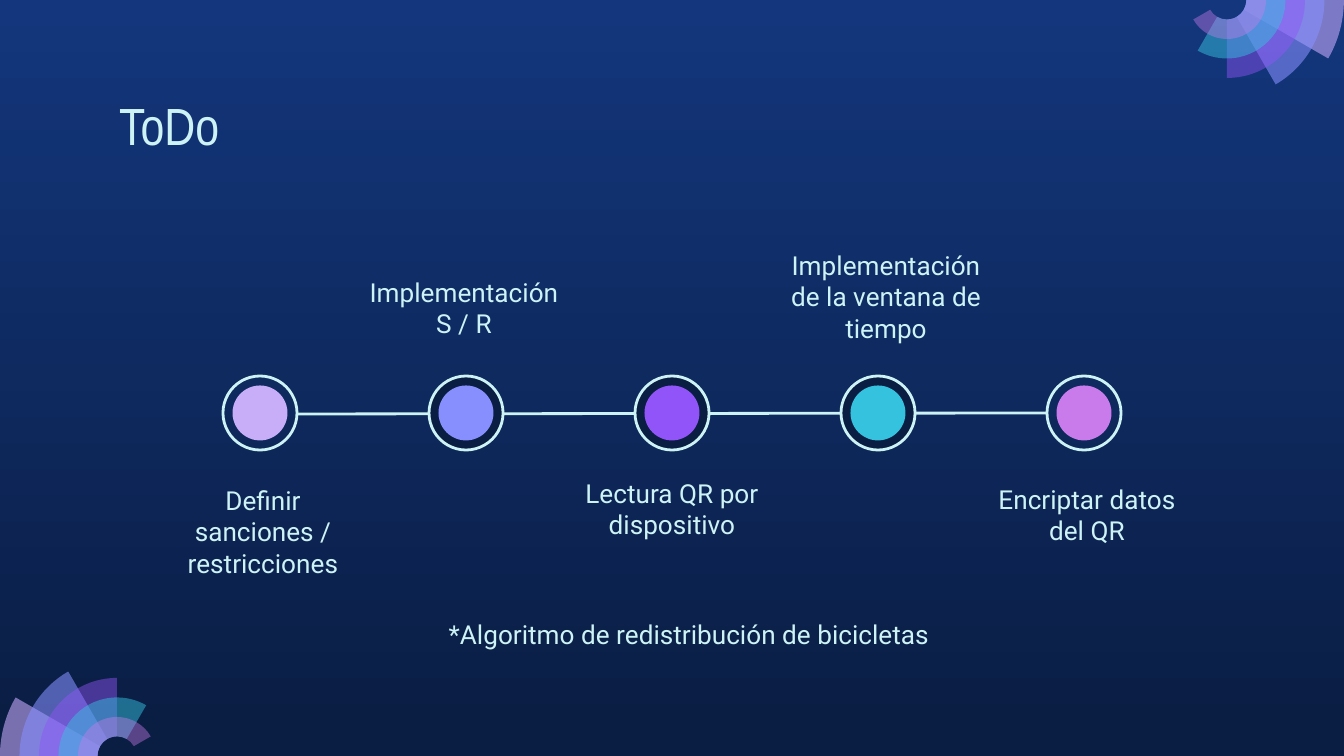
from math import cos, radians, sin, tan

from lxml import etree
from pptx import Presentation
from pptx import util as u
from pptx.dml.color import RGBColor
from pptx.enum import shapes, text
from pptx.oxml.ns import qn

PX = 914400 / 134.4  # EMU in one px


class Theme:
    sky, night, ice = "13367C", "0A1D42", "CEF3F5"
    lilac, indigo, violet, cyan, pink = "C8ACFD", "878FFF", "9154F8", "35C2DF", "CA7BEB"
    first_dot = "C8AEF8"
    title = {"name": "Arial Narrow", "size": u.Pt(28)}
    body = {"name": "Roboto", "size": u.Pt(14)}
    stroke = u.Pt(1.5)


def emu(*lengths):
    return [u.Emu(round(length * PX)) for length in lengths]


def add_text(words, bounds, font, align):
    box = page.shapes.add_textbox(*emu(*bounds))
    frame = box.text_frame
    margins = {f"margin_{side}": u.Inches(0.1) for side in ("left", "top", "right", "bottom")}
    layout = {"word_wrap": True, "vertical_anchor": text.MSO_ANCHOR.TOP, **margins}
    for name, value in layout.items():
        setattr(frame, name, value)
    para = frame.paragraphs[0]
    para.alignment = align
    span = para.add_run()
    span.text = words
    for name, value in font.items():
        setattr(span.font, name, value)
    span.font.color.rgb = RGBColor.from_string(Theme.ice)


deck = Presentation()
deck.slide_width, deck.slide_height = emu(1344, 756)
page = deck.slides.add_slide(deck.slide_layouts[6])

# Background: light at the top, dark at the bottom
backdrop = page.background.fill
backdrop.gradient()
backdrop.gradient_angle = 270
for stop, color in zip(backdrop.gradient_stops, (Theme.sky, Theme.night)):
    stop.color.rgb = RGBColor.from_string(color)

# Corner fans: each wedge is one ring smaller and 30 degrees wider than the last
RING = 19.5
WEDGES = [(Theme.lilac, 58), (Theme.indigo, 58), (Theme.violet, 46),
          (Theme.cyan, 49), (Theme.pink, 42)]
for center_x, center_y, start in ((117, 756, 180), (1227, 0, 0)):
    fan = page.shapes.add_group_shape()
    for step, (color, opacity) in enumerate(WEDGES):
        sweep = 30 * (step + 1)
        stops = [start, start + min(sweep, 90)]
        if sweep > 90:
            stops.append(start + sweep)
        points, curve_starts = [], []
        for radius, turns in ((RING * (6 - step), stops), (RING, stops[::-1])):
            for index, angle in enumerate(turns):
                across, down = cos(radians(angle)), sin(radians(angle))
                x, y = center_x + radius * across, center_y + radius * down
                if index:
                    handle = radius * 4 / 3 * tan(radians(angle - turns[index - 1]) / 4)
                    points.append(emu(x + handle * down, y - handle * across))
                points.append(emu(x, y))
                if index < len(turns) - 1:
                    curve_starts.append(len(points) - 1)
                    handle = radius * 4 / 3 * tan(radians(turns[index + 1] - angle) / 4)
                    points.append(emu(x - handle * down, y + handle * across))
        outline = fan.shapes.build_freeform(*points[0])
        outline.add_line_segments(points[1:], close=True)
        wedge = outline.convert_to_shape()

        # Each run of two handles and an end point becomes one Bezier curve
        segments = list(wedge._element.iter(qn("a:lnTo")))
        for first in curve_starts:
            curve = etree.Element(qn("a:cubicBezTo"))
            segments[first].addprevious(curve)
            for segment in segments[first:first + 3]:
                curve.append(segment[0])
                segment.getparent().remove(segment)

        wedge.shadow.inherit = False
        wedge.line.fill.background()
        wedge.fill.solid()
        wedge.fill.fore_color.rgb = RGBColor.from_string(color)
        tint = wedge.fill._xPr.find(f".//{qn('a:srgbClr')}")
        etree.SubElement(tint, qn("a:alpha"), val=str(opacity * 1000))

# Timeline: one line behind five evenly spaced nodes
FIRST_X, PITCH, AXIS_Y, RING_SIZE, DOT_SIZE = 260, 206, 413, 74, 55
axis = page.shapes.add_connector(
    shapes.MSO_CONNECTOR.STRAIGHT,
    *emu(FIRST_X + RING_SIZE / 2, AXIS_Y + 1, FIRST_X + 4 * PITCH - RING_SIZE / 2, AXIS_Y))
axis.line.color.rgb = RGBColor.from_string(Theme.ice)
axis.line.width = Theme.stroke
etree.SubElement(axis._element.spPr, qn("a:effectLst"))

add_text("ToDo", (106, 80, 1132, 84), Theme.title, text.PP_ALIGN.LEFT)

# Dot colour, ring fill, label, label left and top
STEPS = [
    (Theme.first_dot, None, "Definir sanciones / restricciones", 141, 471),
    (Theme.indigo, Theme.night, "Implementación S / R", 342, 263),
    (Theme.violet, Theme.night, "Lectura QR por dispositivo", 550, 464),
    (Theme.cyan, Theme.night, "Implementación de la ventana de tiempo", 764, 236),
    (Theme.pink, None, "Encriptar datos del QR", 965, 470),
]
for index, (dot_color, ring_color, label, left, top) in enumerate(STEPS):
    center_x = FIRST_X + index * PITCH
    node = page.shapes.add_group_shape()
    for size, color, edge in ((RING_SIZE, ring_color, Theme.ice), (DOT_SIZE, dot_color, None)):
        circle = node.shapes.add_shape(
            shapes.MSO_SHAPE.OVAL, *emu(center_x - size / 2, AXIS_Y - size / 2, size, size))
        circle.shadow.inherit = False
        for paint, value in ((circle.fill, color), (circle.line.fill, edge)):
            if value:
                paint.solid()
                paint.fore_color.rgb = RGBColor.from_string(value)
            else:
                paint.background()
        if edge:
            circle.line.width = Theme.stroke
    add_text(label, (left, top, 244, 107), Theme.body, text.PP_ALIGN.CENTER)

add_text("*Algoritmo de redistribución de bicicletas", (336, 605, 706, 67),
         Theme.body, text.PP_ALIGN.CENTER)

deck.save("out.pptx")
